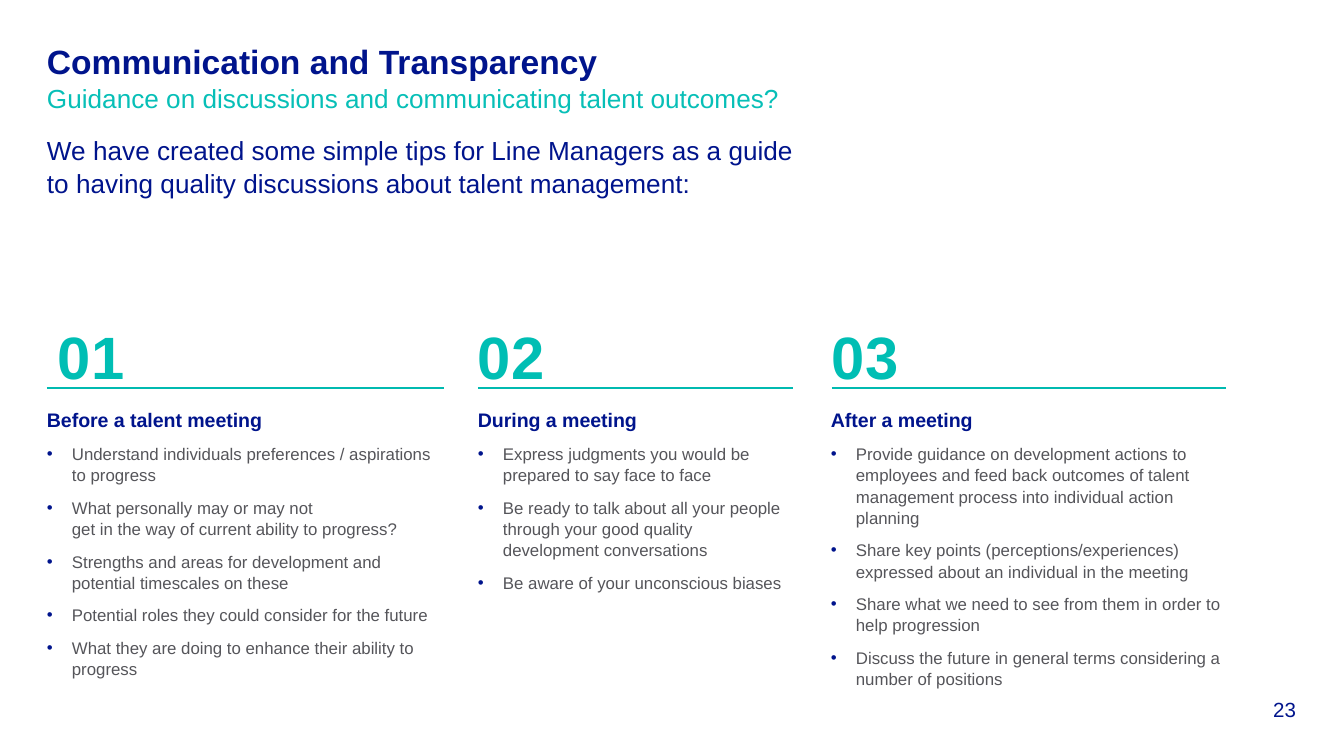
from lxml.etree import SubElement
from pptx import Presentation
from pptx.dml.color import RGBColor
from pptx.enum.shapes import MSO_CONNECTOR
from pptx.enum.text import MSO_ANCHOR, PP_ALIGN
from pptx.oxml.ns import qn
from pptx.util import Pt

PX = 914400 / 134.4
NAVY, TEAL, RULE, GREY = "00148C", "00BEB4", "00BAB0", "55555A"

deck = Presentation()
deck.slide_width, deck.slide_height = round(1344 * PX), round(756 * PX)
slide = deck.slides.add_slide(deck.slide_layouts[6])


def add_box(x, y, w, h):
    """Add a wrapping text box without insets and return its frame."""
    box = slide.shapes.add_textbox(*(round(n * PX) for n in (x, y, w, h)))
    frame = box.text_frame
    frame.word_wrap = True
    frame.margin_left = frame.margin_right = 0
    frame.margin_top = frame.margin_bottom = 0
    return frame


def write(par, text, size, color, bold=False, after=0):
    """Add text to a paragraph, one run for each line."""
    par.line_spacing = 1.05
    par.space_after = Pt(after)
    for i, line in enumerate(text.split("\n")):
        if i:
            par.add_line_break()
        run = par.add_run()
        run.text = line
        run.font.name = "Arial"
        run.font.size = Pt(size)
        run.font.bold = bold
        run.font.color.rgb = RGBColor.from_string(color)


# Title and intro
title = add_box(47, 39, 797, 66).paragraphs[0]
write(title, "Communication and Transparency", 18, NAVY, True)
title.add_line_break()
write(title, "Guidance on discussions and communicating talent outcomes?", 14, "07BFB7")

intro = add_box(47, 133, 769, 63).paragraphs[0]
write(intro, "We have created some simple tips for Line Managers as a guide "
      "to having quality discussions about talent management:", 14, NAVY, after=12)

# Columns: number x, rule x, rule width, text x, text width, heading, tips
columns = [
    (58, 47, 397, 47, 392, "Before a talent meeting", [
        "Understand individuals preferences / aspirations to progress",
        "What personally may or may not\nget in the way of current ability to progress?",
        "Strengths and areas for development and potential timescales on these",
        "Potential roles they could consider for the future",
        "What they are doing to enhance their ability to progress",
    ]),
    (478, 478, 315, 478, 314, "During a meeting", [
        "Express judgments you would be prepared to say face to face",
        "Be ready to talk about all your people through your good quality "
        "development conversations",
        "Be aware of your unconscious biases",
    ]),
    (832, 832, 394, 831, 392, "After a meeting", [
        "Provide guidance on development actions to employees and feed back "
        "outcomes of talent management process into individual action planning",
        "Share key points (perceptions/experiences) expressed about an "
        "individual in the meeting",
        "Share what we need to see from them in order to help progression",
        "Discuss the future in general terms considering a number of positions",
    ]),
]

for i, (num_x, rule_x, rule_w, x, w, head, tips) in enumerate(columns, 1):
    write(add_box(num_x, 316, 227, 72).paragraphs[0], f"{i:02}", 32, TEAL, True)

    ends = (rule_x, 388, rule_x + rule_w, 388)
    rule = slide.shapes.add_connector(
        MSO_CONNECTOR.STRAIGHT, *(round(n * PX) for n in ends))
    rule.line.color.rgb = RGBColor.from_string(RULE)
    rule.line.width = Pt(0.75)
    SubElement(rule._element.spPr, qn("a:effectLst"))

    frame = add_box(x, 407, w, 270)
    write(frame.paragraphs[0], head, 10.5, NAVY, True, 6)
    for tip in tips:
        par = frame.add_paragraph()
        props = par._p.get_or_add_pPr()
        dent = round(25 * PX)
        props.set("marL", str(dent))
        props.set("indent", str(-dent))
        tint = SubElement(props, qn("a:buClr"))
        SubElement(tint, qn("a:srgbClr"), val=NAVY)
        SubElement(props, qn("a:buFont"), typeface="Arial")
        SubElement(props, qn("a:buChar"), char="•")
        write(par, tip, 9, GREY, after=6)

# Page number
page = add_box(1218, 696, 78, 26)
page.vertical_anchor = MSO_ANCHOR.BOTTOM
page.paragraphs[0].alignment = PP_ALIGN.RIGHT
write(page.paragraphs[0], "23", 11, NAVY)

deck.save("out.pptx")
